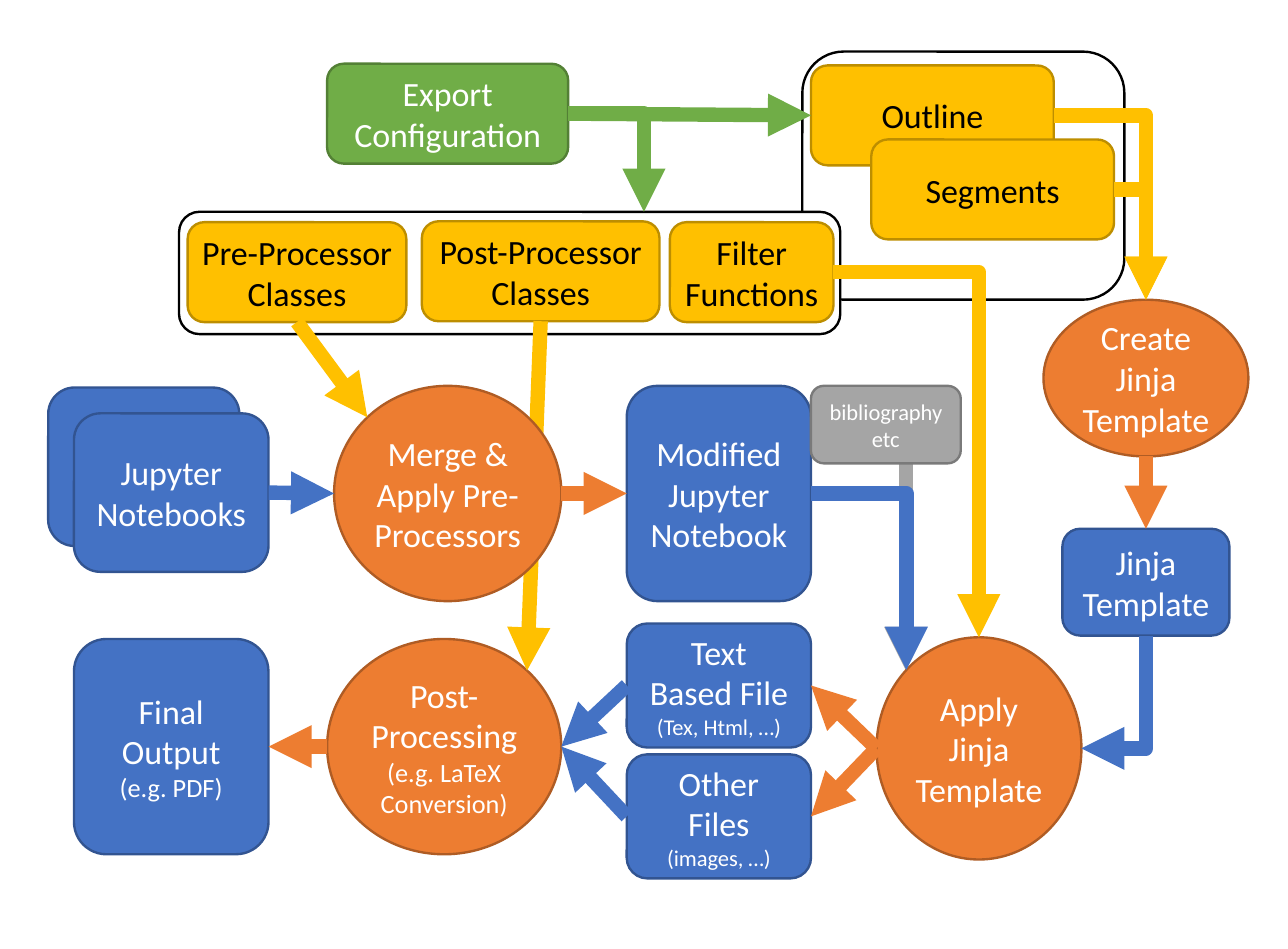
"""Flow chart of a notebook export: settings, sources, templates and output."""
from dataclasses import dataclass

from lxml import etree
from pptx import Presentation
from pptx import util as u
from pptx.dml.color import RGBColor
from pptx.enum import shapes, text
from pptx.oxml.ns import qn

CELL = u.Inches(0.1)
RECT = shapes.MSO_SHAPE.ROUNDED_RECTANGLE
OVAL = shapes.MSO_SHAPE.OVAL
SIDES = {"n": 0, "w": 1, "s": 2, "e": 3}


@dataclass(frozen=True)
class Theme:
    """Colours as fill, edge and text; type sizes and line widths in points."""
    blue: tuple = ("4472C4", "325491", "FFFFFF")
    orange: tuple = ("ED7D31", "AF5C24", "FFFFFF")
    green: tuple = ("70AD47", "538035", "FFFFFF")
    gold: tuple = ("FFC000", "BD8E00", "000000")
    gray: tuple = ("A5A5A5", "7A7A7A", "FFFFFF")
    plain: tuple = ("FFFFFF", "000000", "000000")
    font: str = "Calibri"
    body: float = 14.2
    note: float = 11
    small: float = 9.4
    edge: float = 1
    arrow: float = 6


T = Theme()


@dataclass
class Box:
    """A region in grid cells of a tenth of an inch."""
    x: float
    y: float
    w: float
    h: float

    def sub(self, x, y, w, h):
        """Return a box placed relative to this one."""
        return Box(self.x + x, self.y + y, w, h)


def cells(n):
    """Convert grid cells to a length."""
    return u.Emu(round(n * CELL))


def node(page, box, tone, words="", kind=RECT, pad=0.8, size=T.body, note=T.note):
    """Draw a filled shape; lines in brackets take the note size."""
    item = page.shapes.add_shape(kind, *map(cells, (box.x, box.y, box.w, box.h)))
    item.shadow.inherit = False
    item.fill.solid()
    item.fill.fore_color.rgb = RGBColor.from_string(tone[0])
    item.line.color.rgb = RGBColor.from_string(tone[1])
    item.line.width = u.Pt(T.edge)
    if not words:
        return item
    frame = item.text_frame
    frame.text = words
    frame.word_wrap = True
    frame.vertical_anchor = text.MSO_ANCHOR.MIDDLE
    frame.margin_left = frame.margin_right = cells(pad)
    frame.margin_top = frame.margin_bottom = cells(0.4)
    for para in frame.paragraphs:
        para.alignment = text.PP_ALIGN.CENTER
        for run in para.runs:
            run.font.name = T.font
            run.font.size = u.Pt(note if run.text.startswith("(") else size)
            run.font.color.rgb = RGBColor.from_string(tone[2])
    return item


def oval(page, box, words):
    """Draw a processing step."""
    return node(page, box, T.orange, words, OVAL, pad=0.3)


def pin(item, site):
    """Return the point of a shape at a compass site."""
    reach = 0.5 if len(site) == 1 else 0.5 * 0.5 ** 0.5
    across = ("e" in site) - ("w" in site)
    down = ("s" in site) - ("n" in site)
    return (round(item.left + item.width * (0.5 + reach * across)),
            round(item.top + item.height * (0.5 + reach * down)))


def spot(end):
    """Resolve a shape and site, or a pair of grid cells, to a point."""
    return pin(*end) if isinstance(end[1], str) else tuple(map(cells, end))


def dress(line, tone):
    """Give a connector its colour, width, arrowhead and no shadow."""
    line.line.color.rgb = RGBColor.from_string(tone[0])
    line.line.width = u.Pt(T.arrow)
    pr = line.element.spPr
    etree.SubElement(pr.find(qn("a:ln")), qn("a:tailEnd"), type="triangle")
    etree.SubElement(pr, qn("a:effectLst"))


def link(page, tone, start, end):
    """Draw a straight arrow, joined where it meets the side of a box."""
    line = page.shapes.add_connector(shapes.MSO_CONNECTOR.STRAIGHT,
                                     *spot(start), *spot(end))
    for (item, site), join in ((start, line.begin_connect), (end, line.end_connect)):
        if site in SIDES and item.auto_shape_type == RECT:
            join(item, SIDES[site])
    dress(line, tone)


def bend(page, tone, start, end, fall=False):
    """Draw an arrow with one corner, going across first or, on fall, down first."""
    (x, y), (p, q) = spot(start), spot(end)
    if fall:
        mx, my, w, h = (x + p) / 2, (y + q) / 2, q - y, x - p
        x, y, p, q = (round(n) for n in
                      (mx - w / 2, my - h / 2, mx + w / 2, my + h / 2))
    line = page.shapes.add_connector(shapes.MSO_CONNECTOR.ELBOW, x, y, p, q)
    line.element.spPr.find(qn("a:prstGeom")).set("prst", "bentConnector2")
    if fall:
        line.element.spPr.find(qn("a:xfrm")).set("rot", str(90 * 60000))
    dress(line, tone)


def plan(page, box):
    """Draw the framed outline and segments cards."""
    node(page, box, T.plain)
    return [node(page, box.sub(x, y, 14.1, 5.8), T.gold, words)
            for x, y, words in ((0.5, 0.8, "Outline"), (4, 5.1, "Segments"))]


def tools(page, box):
    """Draw the framed row of classes and functions."""
    node(page, box, T.plain)
    cards = ((0.5, 0.6, 12.7, "Pre-Processor Classes"),
             (14.1, 0.55, 13.8, "Post-Processor Classes"),
             (28.5, 0.6, 9.5, "Filter Functions"))
    return [node(page, box.sub(x, y, w, 5.8), T.gold, words, pad=0.4)
            for x, y, w, words in cards]


def source(page, box):
    """Draw the notebooks, the modified notebook and the bibliography."""
    node(page, box.sub(0, 0.1, 11.1, 9.2), T.blue)
    books = node(page, box.sub(1.5, 1.6, 11.3, 9.2), T.blue, "Jupyter Notebooks")
    ready = node(page, box.sub(33.6, 0, 10.7, box.h), T.blue,
                 "Modified\nJupyter Notebook")
    stem = box.x + 49.8
    line = page.shapes.add_connector(shapes.MSO_CONNECTOR.STRAIGHT,
                                     *spot((stem, 26.6)), *spot((stem, 38.9)))
    dress(line, T.gray)
    node(page, box.sub(44.3, 0, 8.7, 4.5), T.gray, "bibliography etc", size=T.small)
    return books, ready


def model(page, box):
    """Draw the step that makes the template, above its result."""
    make = oval(page, box.sub(0, 0, box.w, 9.1), "Create Jinja Template")
    done = node(page, box.sub(1.1, 13.3, 9.7, 6.2), T.blue, "Jinja\nTemplate")
    return make, done


def result(page, box):
    """Draw the lower row from template step to final output."""
    fill = oval(page, box.sub(46.6, 0.8, 11.9, 12.9), "Apply Jinja Template")
    files = [node(page, box.sub(32.1, 7.6 * i, 10.7, 7.2), T.blue, words, note=T.small)
             for i, words in enumerate(("Text Based File\n(Tex, Html, …)",
                                        "Other Files\n(images, …)"))]
    post = oval(page, box.sub(14.7, 0.9, 13.6, 12.5),
                "Post-Processing\n(e.g. LaTeX Conversion)")
    final = node(page, box.sub(0, 0.9, 11.3, 12.5), T.blue, "Final Output\n(e.g. PDF)")
    return fill, files, post, final


def main():
    """Build the slide and save it."""
    deck = Presentation()
    deck.slide_width, deck.slide_height = u.Inches(7.48), u.Inches(5.51)
    page = deck.slides.add_slide(deck.slide_layouts[6])

    lines, parts = plan(page, Box(46.6, 3, 18.7, 14.4))
    pre, after, filt = tools(page, Box(10.4, 12.3, 38.4, 7.1))
    setup = node(page, Box(19, 3.7, 14, 5.8), T.green, "Export Configuration")
    books, ready = source(page, Box(2.8, 22.4, 53, 12.5))
    make, done = model(page, Box(60.6, 17.4, 11.9, 19.5))
    fill, files, post, final = result(page, Box(4.3, 36.2, 58.5, 14.8))
    link(page, T.gold, (after, "s"), (post, "ne"))
    merge = oval(page, Box(19.4, 22.4, 13.2, 12.5), "Merge & Apply Pre-Processors")

    link(page, T.green, (setup, "e"), (lines, "w"))
    bend(page, T.green, (setup, "e"), (37.4, 12.3))
    link(page, T.gold, (pre, "s"), (merge, "nw"))
    link(page, T.blue, (books, "e"), (merge, "w"))
    link(page, T.orange, (merge, "e"), (ready, "w"))
    bend(page, T.blue, (ready, "e"), (fill, "nw"))
    bend(page, T.gold, (filt, "e"), (fill, "n"))
    for card in (parts, lines):
        bend(page, T.gold, (card, "e"), (make, "n"))
    link(page, T.orange, (make, "s"), (done, "n"))
    bend(page, T.blue, (done, "s"), (fill, "e"), fall=True)
    for item in files:
        link(page, T.orange, (fill, "w"), (item, "e"))
        link(page, T.blue, (item, "w"), (post, "e"))
    link(page, T.orange, (post, "w"), (final, "e"))
    deck.save("out.pptx")


if __name__ == "__main__":
    main()
